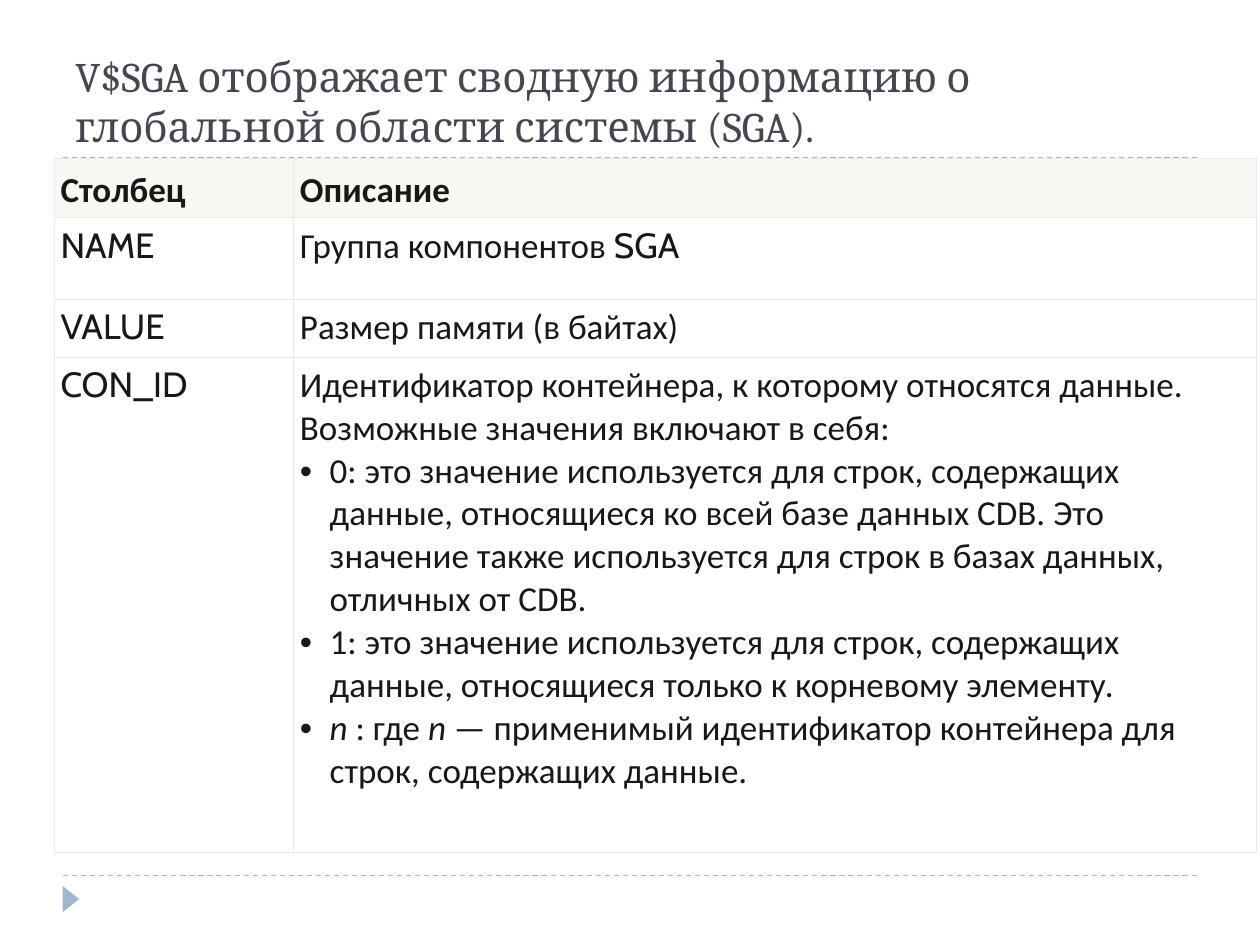
from dataclasses import dataclass

from lxml.etree import SubElement
from pptx import Presentation
from pptx.dml.color import RGBColor
from pptx.enum.dml import MSO_LINE
from pptx.enum.shapes import MSO_CONNECTOR, MSO_SHAPE
from pptx.enum.text import MSO_ANCHOR
from pptx.oxml.ns import qn
from pptx.util import Pt

COLORS = {
    "accent": "9FB8CD",
    "title": "464653",
    "text": "1A1816",
    "border": "ECEAE5",
    "header": "F8F7F4",
    "body": "FFFFFF",
}
RULE_TOPS = (90, 500.4)
COLUMN_WIDTHS = (136.8, 550.1)
ROW_HEIGHTS = (33.8, 46.8, 33.1, 283)
CELL_MARGIN = 3.6
BULLET_INDENT = 17


@dataclass(frozen=True)
class Run:
    text: str
    font: str = "Calibri"
    bold: bool = False
    italic: bool = False


@dataclass(frozen=True)
class Line:
    runs: tuple[Run, ...]
    bullet: bool = False


def plain(text: str, **style) -> tuple[Line, ...]:
    return (Line((Run(text, **style),)),)


def bullet(*runs: Run) -> Line:
    return Line(runs, bullet=True)


ROWS = (
    (plain("Столбец", bold=True), plain("Описание", bold=True)),
    (
        plain("NAME", font="Cabin"),
        (Line((Run("Группа компонентов "), Run("SGA", font="Cabin"))),),
    ),
    (plain("VALUE", font="Cabin"), plain("Размер памяти (в байтах)")),
    (
        plain("CON_ID", font="Cabin"),
        plain(
            "Идентификатор контейнера, к которому относятся данные. "
            "Возможные значения включают в себя:"
        )
        + (
            bullet(Run(
                "0: это значение используется для строк, содержащих данные, "
                "относящиеся ко всей базе данных CDB. Это значение также "
                "используется для строк в базах данных, отличных от CDB."
            )),
            bullet(Run(
                "1: это значение используется для строк, содержащих данные, "
                "относящиеся только к корневому элементу."
            )),
            bullet(
                Run("n", italic=True),
                Run(" : где "),
                Run("n", italic=True),
                Run(" — применимый идентификатор контейнера для строк, "
                    "содержащих данные."),
            ),
        ),
    ),
)


def rgb(name: str) -> RGBColor:
    return RGBColor.from_string(COLORS[name])


def add_text(paragraph, text: str, *, font: str, size: float, color: str,
             bold: bool = False, italic: bool = False) -> None:
    run = paragraph.add_run()
    run.text = text
    run.font.name = font
    run.font.size = Pt(size)
    run.font.bold = bold
    run.font.italic = italic
    run.font.color.rgb = rgb(color)


def add_bullet(paragraph) -> None:
    properties = paragraph._p.get_or_add_pPr()
    properties.set("marL", str(Pt(BULLET_INDENT)))
    properties.set("indent", str(-Pt(BULLET_INDENT)))
    bullet_color = SubElement(properties, qn("a:buClr"))
    SubElement(bullet_color, qn("a:srgbClr"), val=COLORS["text"])
    SubElement(properties, qn("a:buFont"), typeface="Arial")
    SubElement(properties, qn("a:buChar"), char="•")


def add_rule(slide, top: float) -> None:
    rule = slide.shapes.add_connector(
        MSO_CONNECTOR.STRAIGHT, Pt(36), Pt(top), Pt(684), Pt(top))
    rule.line.color.rgb = rgb("accent")
    rule.line.width = Pt(0.75)
    rule.line.dash_style = MSO_LINE.DASH
    SubElement(rule._element.spPr, qn("a:effectLst"))


def add_marker(slide) -> None:
    marker = slide.shapes.add_shape(
        MSO_SHAPE.ISOSCELES_TRIANGLE, Pt(33), Pt(509), Pt(15), Pt(9.5))
    marker.rotation = 90
    marker.shadow.inherit = False
    marker.fill.solid()
    marker.fill.fore_color.rgb = rgb("accent")
    marker.line.fill.background()


def add_title(slide, text: str) -> None:
    title = slide.shapes.add_textbox(Pt(36), Pt(12.2), Pt(648), Pt(77.8))
    text_frame = title.text_frame
    text_frame.word_wrap = True
    text_frame.vertical_anchor = MSO_ANCHOR.BOTTOM
    add_text(text_frame.paragraphs[0], text, font="Cambria", size=24,
             color="title")


def add_borders(cell) -> None:
    properties = cell._tc.get_or_add_tcPr()
    for side in ("L", "R", "T", "B"):
        border = SubElement(properties, qn(f"a:ln{side}"), w=str(Pt(0.57)))
        fill = SubElement(border, qn("a:solidFill"))
        SubElement(fill, qn("a:srgbClr"), val=COLORS["border"])


def fill_cell(cell, lines: tuple[Line, ...], is_header: bool) -> None:
    add_borders(cell)
    cell.fill.solid()
    cell.fill.fore_color.rgb = rgb("header" if is_header else "body")
    cell.vertical_anchor = MSO_ANCHOR.BOTTOM if is_header else MSO_ANCHOR.TOP
    cell.margin_left = cell.margin_right = Pt(CELL_MARGIN)
    cell.margin_top = cell.margin_bottom = Pt(CELL_MARGIN)
    text_frame = cell.text_frame
    for index, line in enumerate(lines):
        paragraph = text_frame.add_paragraph() if index else text_frame.paragraphs[0]
        if line.bullet:
            add_bullet(paragraph)
        for run in line.runs:
            add_text(paragraph, run.text, font=run.font, size=20, color="text",
                     bold=run.bold, italic=run.italic)


def add_column_table(slide) -> None:
    table = slide.shapes.add_table(
        len(ROW_HEIGHTS), len(COLUMN_WIDTHS), Pt(31), Pt(90.7),
        Pt(sum(COLUMN_WIDTHS)), Pt(sum(ROW_HEIGHTS))).table
    table.first_row = table.horz_banding = False
    for column, width in zip(table.columns, COLUMN_WIDTHS):
        column.width = Pt(width)
    for row_index, (row, height, contents) in enumerate(
            zip(table.rows, ROW_HEIGHTS, ROWS)):
        row.height = Pt(height)
        for cell, lines in zip(row.cells, contents):
            fill_cell(cell, lines, is_header=row_index == 0)


def main() -> None:
    presentation = Presentation()
    presentation.slide_width = Pt(720)
    presentation.slide_height = Pt(540)
    slide = presentation.slides.add_slide(presentation.slide_layouts[6])
    for top in RULE_TOPS:
        add_rule(slide, top)
    add_marker(slide)
    add_title(slide, "V$SGA отображает сводную информацию о глобальной "
                     "области системы (SGA).")
    add_column_table(slide)
    presentation.save("out.pptx")


if __name__ == "__main__":
    main()
